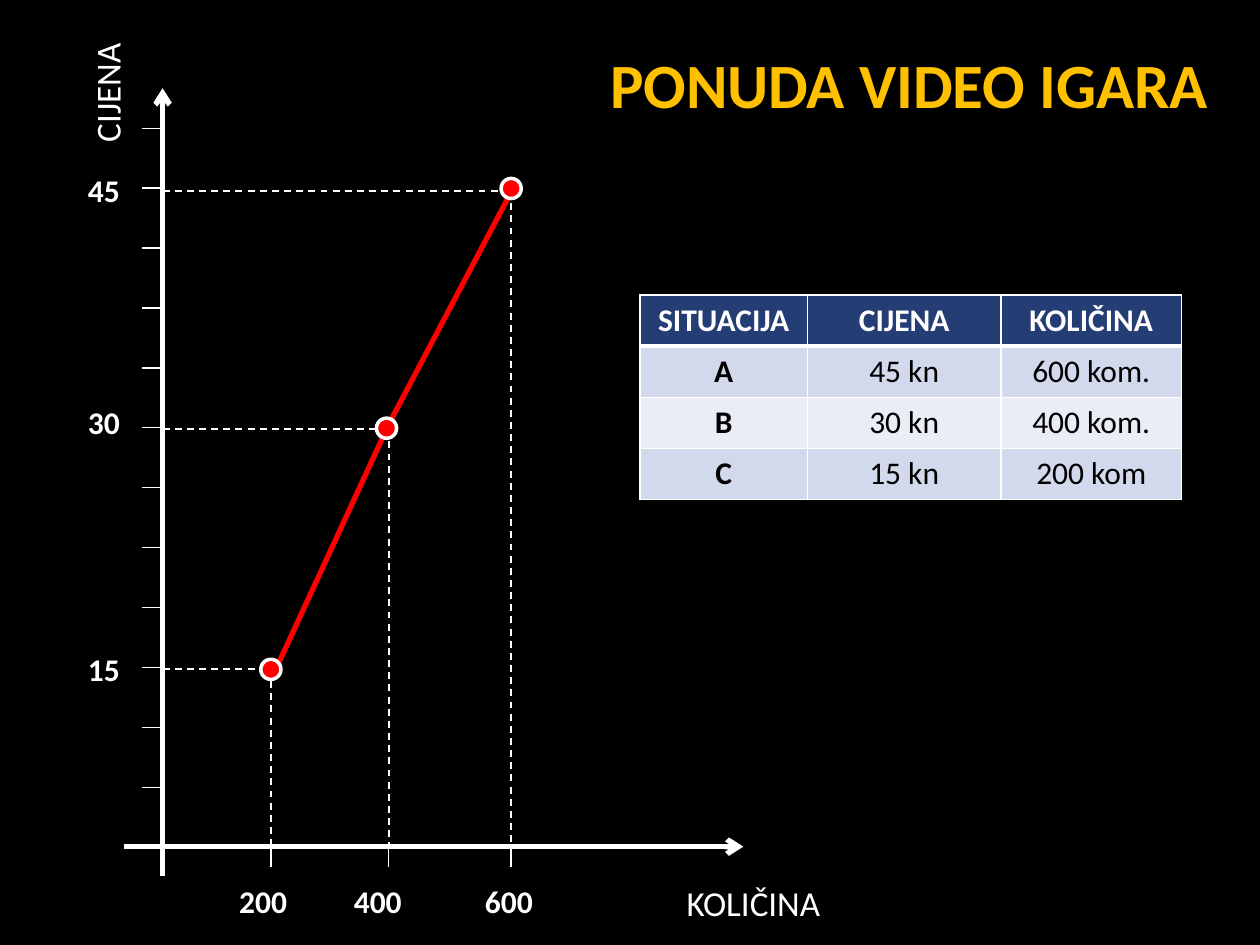
from dataclasses import dataclass

from lxml.etree import SubElement
from pptx import Presentation
from pptx.dml.color import RGBColor as RGB
from pptx.enum.dml import MSO_LINE_DASH_STYLE as DASH
from pptx.enum.shapes import MSO_CONNECTOR as CONNECTOR, MSO_SHAPE as SHAPE
from pptx.enum.text import MSO_AUTO_SIZE as AUTO_SIZE, PP_ALIGN as ALIGN
from pptx.oxml.ns import qn
from pptx.util import Pt


@dataclass(frozen=True)
class Theme:
    font: str = "Calibri"
    background: str = "000000"
    light: str = "FFFFFF"
    dark: str = "000000"
    title: str = "FFC000"
    supply: str = "FF0000"
    header: str = "253D75"
    bands: tuple = ("D3D9ED", "EAEDF6")
    title_size: int = 36
    axis_size: int = 20
    label_size: int = 18


@dataclass(frozen=True)
class SupplyPoint:
    """One situation: its axis labels and their places, guide corner, marker centre."""
    price: str
    price_top: float
    quantity: str
    quantity_left: float
    guide: tuple
    marker: tuple


THEME = Theme()
PRICE_AXIS_X = 92.9
QUANTITY_AXIS_Y = 483.8
TICK = 11.5
PRICE_TICKS = 12
FIRST_TICK_Y = 450
TICK_STEP = 34.25
MARKER = 11.5

POINTS = [
    SupplyPoint("15", 368, "200", 129.6, (154.8, 382.3), (154.8, 382.5)),
    SupplyPoint("30", 226.8, "400", 195.1, (222.2, 245.3), (220.9, 244.7)),
    SupplyPoint("45", 94.3, "600", 270, (292.1, 109.2), (292.1, 107.7)),
]
SUPPLY_CURVE = [(292.3, 109.4), (222.5, 241.9), (157.7, 382.3)]

SITUATIONS = [
    ["SITUACIJA", "CIJENA", "KOLIČINA"],
    ["A", "45 kn", "600 kom."],
    ["B", "30 kn", "400 kom."],
    ["C", "15 kn", "200 kom"],
]
COLUMN_WIDTHS = [95.5, 110.8, 103]
ROW_HEIGHT = 29.2


def color(code):
    return RGB.from_string(code)


def style_font(paragraph, size, code, bold=False):
    font = paragraph.font
    font.name, font.size, font.bold = THEME.font, Pt(size), bold
    font.color.rgb = color(code)


def add_text(slide, text, box, size, code=THEME.light, bold=False,
             align=ALIGN.LEFT, wrap=True, rotation=0):
    label = slide.shapes.add_textbox(*map(Pt, box))
    label.rotation = rotation
    frame = label.text_frame
    frame.word_wrap = wrap
    frame.auto_size = AUTO_SIZE.NONE
    paragraph = frame.paragraphs[0]
    paragraph.text = text
    paragraph.alignment = align
    style_font(paragraph, size, code, bold)


def add_line(slide, start, end, width, dashed=False, arrow=False):
    connector = slide.shapes.add_connector(
        CONNECTOR.STRAIGHT, *map(Pt, (*start, *end)))
    line = connector.line
    line.width = Pt(width)
    line.color.rgb = color(THEME.light)
    if dashed:
        line.dash_style = DASH.DASH
    if arrow:
        SubElement(line._get_or_add_ln(), qn("a:tailEnd"), type="arrow")
    SubElement(connector._element.spPr, qn("a:effectLst"))


def add_axes(slide):
    add_line(slide, (PRICE_AXIS_X, 500.4), (PRICE_AXIS_X, 50.4), 3, arrow=True)
    for step in range(PRICE_TICKS):
        y = FIRST_TICK_Y - step * TICK_STEP
        add_line(slide, (PRICE_AXIS_X, y), (PRICE_AXIS_X - TICK, y), 0.75)

    add_line(slide, (70.6, QUANTITY_AXIS_Y), (424.8, QUANTITY_AXIS_Y), 3, arrow=True)
    for point in POINTS:
        x = point.guide[0]
        add_line(slide, (x, QUANTITY_AXIS_Y), (x, QUANTITY_AXIS_Y + TICK), 0.75)

    add_text(slide, "CIJENA", (24.5, 36, 73.4, 31.5), THEME.axis_size, rotation=270)
    add_text(slide, "KOLIČINA", (385.2, 500.4, 174.2, 31.5), THEME.axis_size)


def add_axis_labels(slide, point):
    for text, left, top, width in (
            (point.price, 43.2, point.price_top, 33.1),
            (point.quantity, point.quantity_left, 500.4, 42.5)):
        add_text(slide, text, (left, top, width, 29.1), THEME.label_size,
                 bold=True, wrap=False)


def add_guides(slide, point):
    x, y = point.guide
    add_line(slide, (PRICE_AXIS_X, y), (x, y), 1, dashed=True)
    add_line(slide, (x, y), (x, QUANTITY_AXIS_Y), 1, dashed=True)


def add_supply_curve(slide):
    start, *rest = SUPPLY_CURVE
    builder = slide.shapes.build_freeform(*map(Pt, start))
    builder.add_line_segments([(Pt(x), Pt(y)) for x, y in rest], close=False)
    curve = builder.convert_to_shape()
    curve.shadow.inherit = False
    curve.fill.background()
    curve.line.width = Pt(3)
    curve.line.color.rgb = color(THEME.supply)


def add_marker(slide, point):
    x, y = point.marker
    marker = slide.shapes.add_shape(
        SHAPE.OVAL, Pt(x - MARKER / 2), Pt(y - MARKER / 2), Pt(MARKER), Pt(MARKER))
    marker.shadow.inherit = False
    marker.fill.solid()
    marker.fill.fore_color.rgb = color(THEME.supply)
    marker.line.width = Pt(2)
    marker.line.color.rgb = color(THEME.light)


def add_cell_borders(cell, bottom, top):
    properties = cell._tc.get_or_add_tcPr()
    for side, width in (("L", 1), ("R", 1), ("T", top), ("B", bottom)):
        border = SubElement(properties, qn(f"a:ln{side}"), w=str(Pt(width)))
        fill = SubElement(border, qn("a:solidFill"))
        SubElement(fill, qn("a:srgbClr"), val=THEME.light)


def add_situation_table(slide):
    table = slide.shapes.add_table(
        len(SITUATIONS), len(COLUMN_WIDTHS), Pt(365.8), Pt(168.6),
        Pt(sum(COLUMN_WIDTHS)), Pt(ROW_HEIGHT * len(SITUATIONS))).table
    for column, width in zip(table.columns, COLUMN_WIDTHS):
        column.width = Pt(width)
    for r, values in enumerate(SITUATIONS):
        table.rows[r].height = Pt(ROW_HEIGHT)
        is_header = r == 0
        for c, value in enumerate(values):
            cell = table.cell(r, c)
            add_cell_borders(cell, bottom=3 if is_header else 1, top=3 if r == 1 else 1)
            cell.fill.solid()
            cell.fill.fore_color.rgb = color(
                THEME.header if is_header else THEME.bands[(r - 1) % 2])
            paragraph = cell.text_frame.paragraphs[0]
            paragraph.text = value
            paragraph.alignment = ALIGN.CENTER
            style_font(paragraph, THEME.label_size,
                       THEME.light if is_header else THEME.dark,
                       bold=is_header or c == 0)


def main():
    deck = Presentation()
    deck.slide_width, deck.slide_height = Pt(720), Pt(540)
    slide = deck.slides.add_slide(deck.slide_layouts[6])
    slide.background.fill.solid()
    slide.background.fill.fore_color.rgb = color(THEME.background)

    add_axes(slide)
    for point in POINTS:
        add_axis_labels(slide, point)
        add_guides(slide, point)
    add_supply_curve(slide)
    for point in POINTS:
        add_marker(slide, point)
    add_situation_table(slide)
    add_text(slide, "PONUDA VIDEO IGARA", (191.5, 22.5, 506.2, 68.4),
             THEME.title_size, THEME.title, bold=True, align=ALIGN.RIGHT)
    deck.save("out.pptx")


if __name__ == "__main__":
    main()
